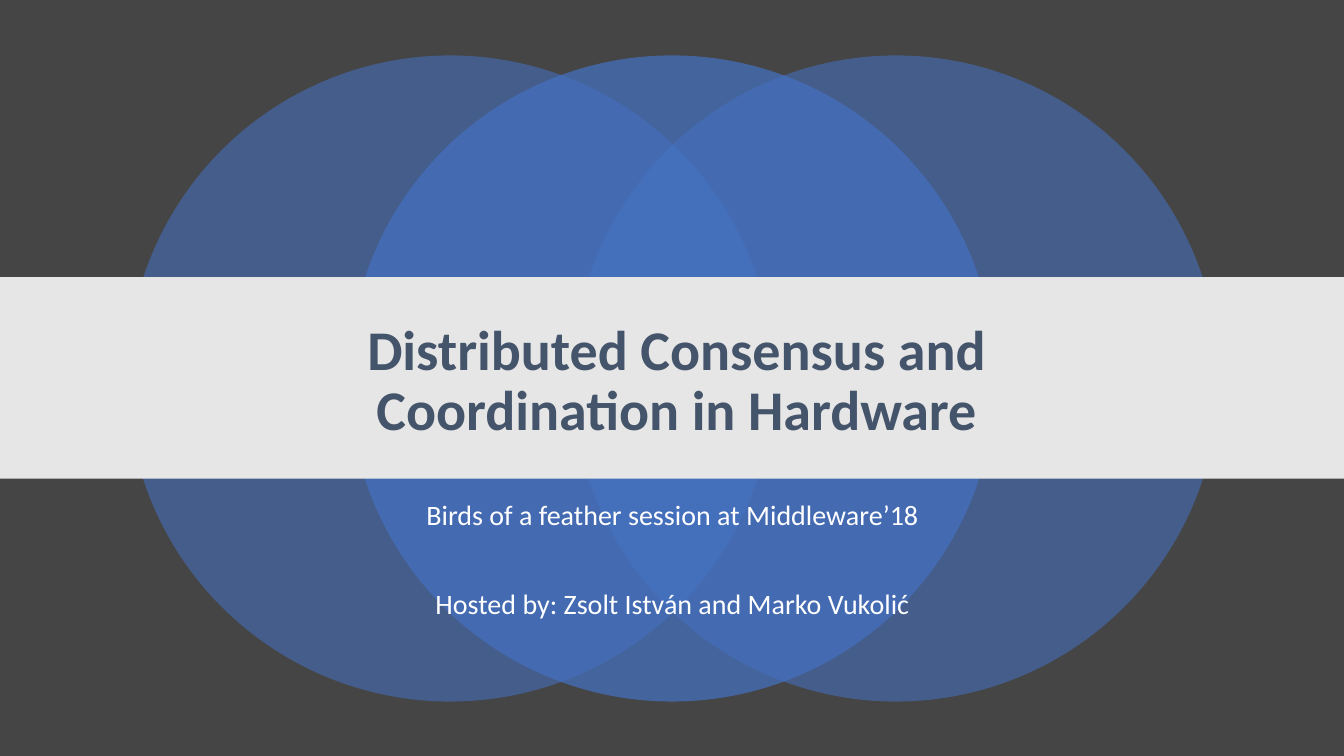
"""Build a title slide with three overlapping circles behind a light band."""
import pptx
import pptx.util
import pptx.dml.color
import pptx.enum.shapes
import pptx.enum.text
import pptx.oxml.ns
import lxml.etree

Inches = pptx.util.Inches
Pt = pptx.util.Pt
RGBColor = pptx.dml.color.RGBColor
KINDS = pptx.enum.shapes.MSO_SHAPE
ANCHOR = pptx.enum.text.MSO_ANCHOR

DARK = RGBColor(0x45, 0x45, 0x45)
BLUE = RGBColor(0x44, 0x72, 0xC4)
LIGHT = RGBColor(0xE7, 0xE6, 0xE6)
SLATE = RGBColor(0x44, 0x54, 0x6A)
WHITE = RGBColor(0xFF, 0xFF, 0xFF)


def add_solid(shapes, kind, box, color):
    shape = shapes.add_shape(kind, *[Inches(n) for n in box])
    shape.shadow.inherit = False
    shape.fill.solid()
    shape.fill.fore_color.rgb = color
    shape.line.fill.background()
    return shape


def add_text(box, lines, size, color, bold, anchor):
    frame = slide.shapes.add_textbox(*[Inches(n) for n in box]).text_frame
    frame.word_wrap = True
    frame.vertical_anchor = anchor
    frame.text = "\n".join(lines)
    for para in frame.paragraphs:
        para.alignment = pptx.enum.text.PP_ALIGN.CENTER
        para.line_spacing = 0.9
        font = para.runs[0].font
        font.name = "Calibri"
        font.size = Pt(size)
        font.bold = bold
        font.color.rgb = color
    return frame


deck = pptx.Presentation()
deck.slide_width = Inches(13.33)
deck.slide_height = Inches(7.5)
slide = deck.slides.add_slide(deck.slide_layouts[6])
slide.background.fill.solid()
slide.background.fill.fore_color.rgb = DARK

rings = slide.shapes.add_group_shape()
for left, alpha in ((1.26, 55), (5.68, 55), (3.46, 70)):
    ring = add_solid(rings.shapes, KINDS.OVAL, (left, 0.55, 6.41, 6.41), BLUE)
    tint = ring.fill._xPr.find(".//" + pptx.oxml.ns.qn("a:srgbClr"))
    lxml.etree.SubElement(tint, pptx.oxml.ns.qn("a:alpha"), val=str(alpha * 1000))

hosts = add_text(
    (1.67, 4.92, 10, 1.7),
    ["Birds of a feather session at Middleware’18",
     "Hosted by: Zsolt István and Marko Vukolić"],
    20, WHITE, False, ANCHOR.TOP)
for para, gap in zip(hosts.paragraphs, (10, 42)):
    para.space_before = Pt(gap)

add_solid(slide.shapes, KINDS.RECTANGLE, (0, 2.75, 13.33, 2), LIGHT)
add_text(
    (2.37, 3.04, 8.68, 1.51),
    ["Distributed Consensus and Coordination in Hardware"],
    40, SLATE, True, ANCHOR.MIDDLE)

deck.save("out.pptx")
